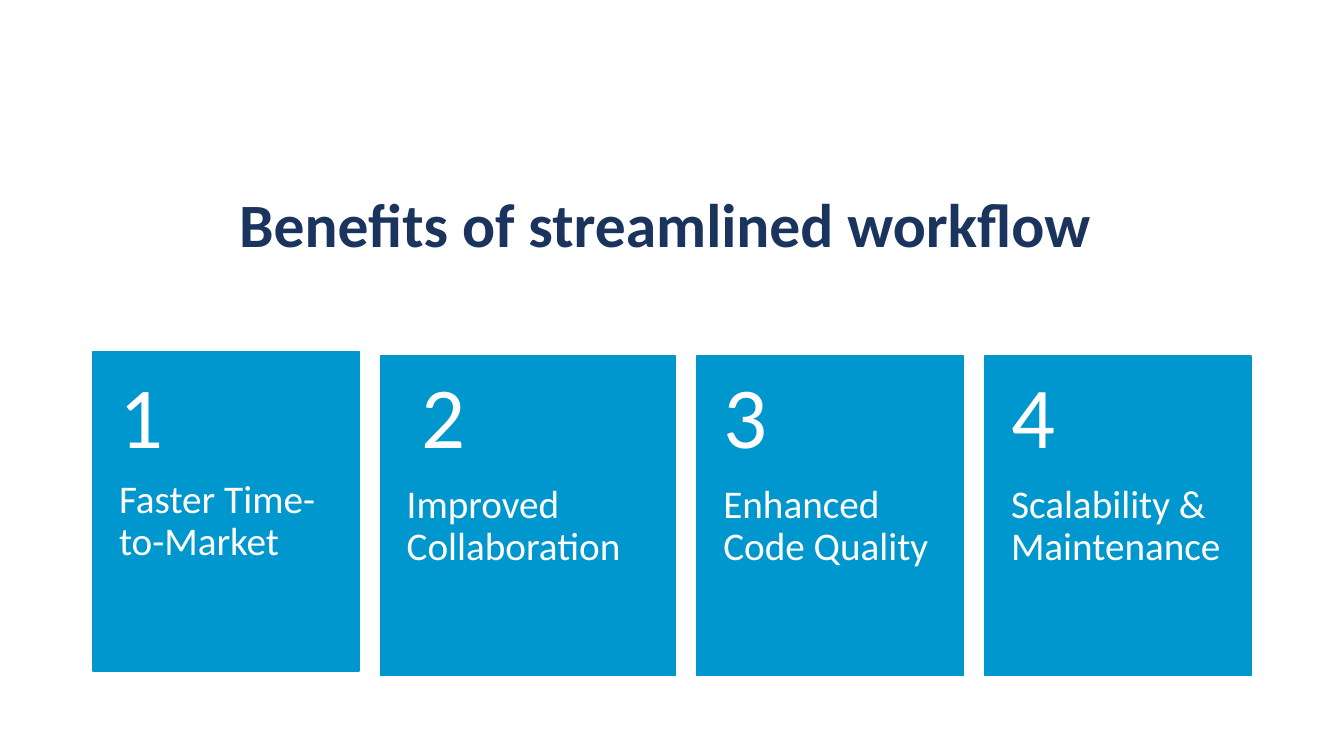
"""Build the slide on the benefits of a streamlined workflow."""
from pptx import Presentation
from pptx.dml.color import RGBColor
from pptx.enum.shapes import MSO_SHAPE as Shape
from pptx.enum.text import MSO_ANCHOR as Anchor, PP_ALIGN as Align
from pptx.util import Cm, Pt

COLOURS = {"card": "0097CE", "title": "1B345E", "white": "FFFFFF"}
FONT = "Calibri"
LEFT, GAP = 2.34, 0.54
CARD_TOP, CARD_HEIGHT = 8.97, 8.05
NUMBER_WIDTH, NUMBER_HEIGHT = 6.71, 3.23
CARDS = [
    ("Faster Time-to-Market", 6.71, 8.86, Align.LEFT),
    ("Improved Collaboration", 7.44, CARD_TOP, Align.JUSTIFY),
    ("Enhanced Code Quality", 6.71, CARD_TOP, Align.LEFT),
    ("Scalability & Maintenance", 6.71, CARD_TOP, Align.LEFT),
]


def colour(name):
    """Return the named colour."""
    return RGBColor.from_string(COLOURS[name])


def add_text(shapes, text, place, size, tint="white", align=Align.LEFT,
             anchor=Anchor.MIDDLE, insets=(0.66, 0.46, 0.66, 0.46),
             spacing=0.9, bold=False):
    """Add a wrapped text box holding one run."""
    box = shapes.add_textbox(*map(Cm, place))
    frame = box.text_frame
    frame.word_wrap = True
    frame.vertical_anchor = anchor
    (frame.margin_left, frame.margin_top,
     frame.margin_right, frame.margin_bottom) = map(Cm, insets)
    para = frame.paragraphs[0]
    para.alignment = align
    para.line_spacing = spacing
    span = para.add_run()
    span.text = text
    span.font.name = FONT
    span.font.size = Pt(size)
    span.font.bold = bold
    span.font.color.rgb = colour(tint)


def add_panel(shapes, place):
    """Add the filled rectangle behind a card."""
    panel = shapes.add_shape(Shape.RECTANGLE, *map(Cm, place))
    panel.shadow.inherit = False
    panel.fill.solid()
    panel.fill.fore_color.rgb = colour("card")
    panel.line.color.rgb = colour("card")
    panel.line.width = Pt(1)


def add_card(shapes, number, caption, left, width, top, align):
    """Add a panel with its caption and number."""
    add_panel(shapes, (left, top, width, CARD_HEIGHT))
    add_text(shapes, caption,
             (left, top + NUMBER_HEIGHT, width, CARD_HEIGHT - NUMBER_HEIGHT),
             28, align=align, anchor=Anchor.TOP, insets=(0.66, 0, 0.66, 0.91))
    number_left = left + (width - NUMBER_WIDTH) / 2
    add_text(shapes, str(number),
             (number_left, CARD_TOP, NUMBER_WIDTH, NUMBER_HEIGHT), 62)


def main():
    """Build and save the deck."""
    deck = Presentation()
    deck.slide_width, deck.slide_height = Cm(33.87), Cm(19.05)
    page = deck.slides.add_slide(deck.slide_layouts[6])
    add_text(page.shapes, "Benefits of streamlined workflow ",
             (LEFT, 2.84, 29.21, 5.79), 44, "title", Align.CENTER,
             insets=(0.25, 0.13, 0.25, 0.13), bold=True)
    cards = page.shapes.add_group_shape().shapes
    left = LEFT
    for number, (caption, width, top, align) in enumerate(CARDS, 1):
        add_card(cards, number, caption, left, width, top, align)
        left += width + GAP
    deck.save("out.pptx")


if __name__ == "__main__":
    main()
